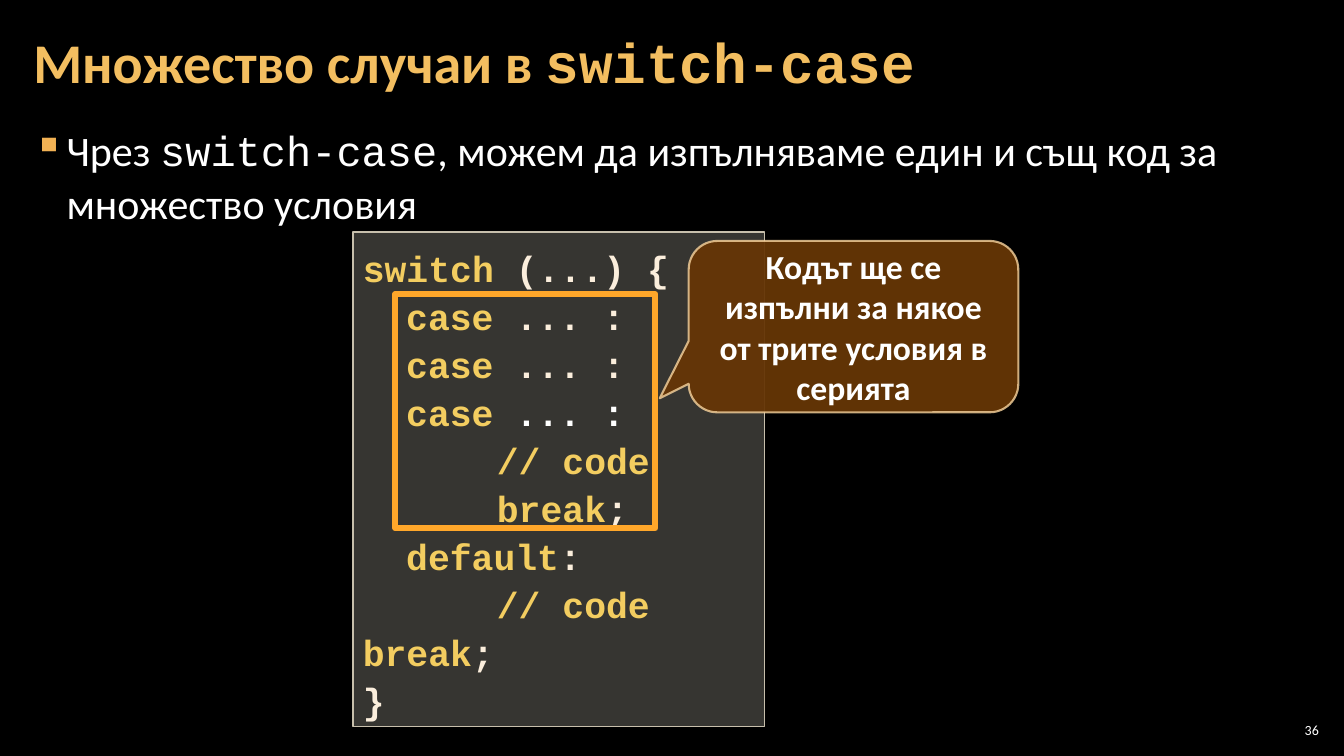
from dataclasses import dataclass

from lxml import etree
from pptx import Presentation
from pptx import util as u
from pptx.dml.color import RGBColor
from pptx.enum import shapes, text
from pptx.oxml.ns import qn


@dataclass(frozen=True)
class Theme:
    sans: str = "Calibri"
    mono: str = "Courier New"
    back: str = "000000"
    white: str = "FFFFFF"
    title: str = "F3BE60"
    bullet: str = "F2B254"
    keyword: str = "F3CD60"
    code: str = "FBEEDC"
    code_fill: str = "D9D5C7"
    code_line: str = "C7BFAC"
    frame: str = "FFA72A"
    callout: str = "663606"
    callout_line: str = "F8D49E"
    title_pt: int = 40
    body_pt: int = 30
    code_pt: int = 26
    callout_pt: int = 24
    number_pt: int = 10


T = Theme()
W, H = 13.33, 7.5

# Content: runs are (text, format)
MONO = {"font": T.mono}
TITLE = [("Множество случаи в ", {}), ("switch-case", MONO)]
BODY = [("Чрез ", {}), ("switch-case", MONO),
        (", можем да изпълняваме един и същ код за множество условия", {})]
CALLOUT = [("Кодът ще се изпълни за някое от трите условия в серията", {})]
NUMBER = [("36", {})]

# Code lines: indent in inches, keyword, rest, colour of the rest
CASE, INNER = 0.43, 1.33
CODE = [
    (0, "switch", " (...) {", T.code),
    (CASE, "case ", "... :", T.code),
    (CASE, "case ", "... :", T.code),
    (CASE, "case ", "... :", T.white),
    (INNER, "// code", "", T.code),
    (INNER, "break", ";", T.code),
    (CASE, "default", ":", T.code),
    (INNER, "// code", "", T.code),
    (0, "break", ";", T.code),
    (0, "", "}", T.code),
]

# Places: left, top, width, height in percent of the slide
PLACES = {
    "number": (94.9, 95.2, 3.53, 2.8),
    "body": (1.58, 15.6, 96.85, 81.2),
    "title": (1.58, 0.53, 78.54, 16.13),
    "code": (26.26, 30.67, 30.61, 65.47),
    "frame": (29.41, 38.93, 19.35, 30.93),
    "callout": (51.24, 31.87, 24.53, 22.67),
}


def box(name):
    x, y, w, h = PLACES[name]
    return [u.Inches(v / 100 * side) for v, side in ((x, W), (y, H), (w, W), (h, H))]


def set_alpha(fill, percent):
    color = fill._xPr.find(qn("a:solidFill"))[0]
    etree.SubElement(color, qn("a:alpha")).set("val", str(percent * 1000))


def setup(tf, anchor=text.MSO_ANCHOR.TOP, inset=(0.1, 0.05)):
    tf.word_wrap = True
    tf.auto_size = text.MSO_AUTO_SIZE.NONE
    tf.vertical_anchor = anchor
    tf.margin_left = tf.margin_right = u.Inches(inset[0])
    tf.margin_top = tf.margin_bottom = u.Inches(inset[1])
    return tf


def write(p, runs, size, color=T.white, font=T.sans, bold=False,
          align=text.PP_ALIGN.LEFT, spacing=1.0, gap=0, indent=0, bullet=None):
    p.alignment, p.line_spacing = align, spacing
    p.space_before = p.space_after = u.Pt(gap)
    pPr = p._p.get_or_add_pPr()
    pPr.set("marL", str(u.Inches(indent)))
    pPr.set("indent", str(-u.Inches(indent) if bullet else 0))
    if bullet:
        clr = etree.SubElement(pPr, qn("a:buClr"))
        etree.SubElement(clr, qn("a:srgbClr")).set("val", T.bullet)
        etree.SubElement(pPr, qn("a:buChar")).set("char", bullet)
    for words, own in runs:
        r = p.add_run()
        r.text = words
        r.font.name = own.get("font", font)
        r.font.size, r.font.bold = u.Pt(size), bold
        r.font.color.rgb = RGBColor.from_string(own.get("color", color))


def add_box(s, kind, name, line, width, fill=None, alpha=100):
    sp = s.shapes.add_shape(kind, *box(name))
    sp.shadow.inherit = False
    sp.line.color.rgb = RGBColor.from_string(line)
    sp.line.width = u.Pt(width)
    if fill:
        sp.fill.solid()
        sp.fill.fore_color.rgb = RGBColor.from_string(fill)
        set_alpha(sp.fill, alpha)
    else:
        sp.fill.background()
    return sp


def main():
    prs = Presentation()
    prs.slide_width, prs.slide_height = u.Inches(W), u.Inches(H)
    s = prs.slides.add_slide(prs.slide_layouts[5])
    s.background.fill.solid()
    s.background.fill.fore_color.rgb = RGBColor.from_string(T.back)
    middle = text.MSO_ANCHOR.MIDDLE

    # Title
    sp = s.shapes.title
    sp.left, sp.top, sp.width, sp.height = box("title")
    tf = setup(sp.text_frame, middle, (0.12, 0.04))
    write(tf.paragraphs[0], TITLE, T.title_pt, T.title, bold=True, spacing=0.9)

    # Slide number
    tf = setup(s.shapes.add_textbox(*box("number")).text_frame, middle, (0.04, 0.04))
    write(tf.paragraphs[0], NUMBER, T.number_pt, align=text.PP_ALIGN.RIGHT)

    # Bulleted text
    tf = setup(s.shapes.add_textbox(*box("body")).text_frame, inset=(0.12, 0.04))
    write(tf.paragraphs[0], BODY, T.body_pt, spacing=1.05, gap=6,
          indent=0.33, bullet="▪")

    # Code panel
    kinds = shapes.MSO_SHAPE
    sp = add_box(s, kinds.RECTANGLE, "code", T.code_line, 1, T.code_fill, 25)
    tf = setup(sp.text_frame, inset=(0.1, 0.1))
    for i, (indent, keyword, rest, color) in enumerate(CODE):
        p = tf.add_paragraph() if i else tf.paragraphs[0]
        runs = [(keyword, {"color": T.keyword}), (rest, {"color": color})]
        write(p, [run for run in runs if run[0]], T.code_pt, font=T.mono,
              bold=True, spacing=u.Pt(34.3), indent=indent)

    # Frame around the shared cases
    add_box(s, kinds.RECTANGLE, "frame", T.frame, 4.5)

    # Callout
    sp = add_box(s, kinds.ROUNDED_RECTANGULAR_CALLOUT, "callout",
                 T.callout_line, 1.5, T.callout, 95)
    set_alpha(sp.line.fill, 80)
    for i, value in enumerate((-0.588, 0.418, 0.167)):
        sp.adjustments[i] = value
    tf = setup(sp.text_frame, middle)
    write(tf.paragraphs[0], CALLOUT, T.callout_pt, bold=True,
          align=text.PP_ALIGN.CENTER)

    prs.save("out.pptx")


if __name__ == "__main__":
    main()
